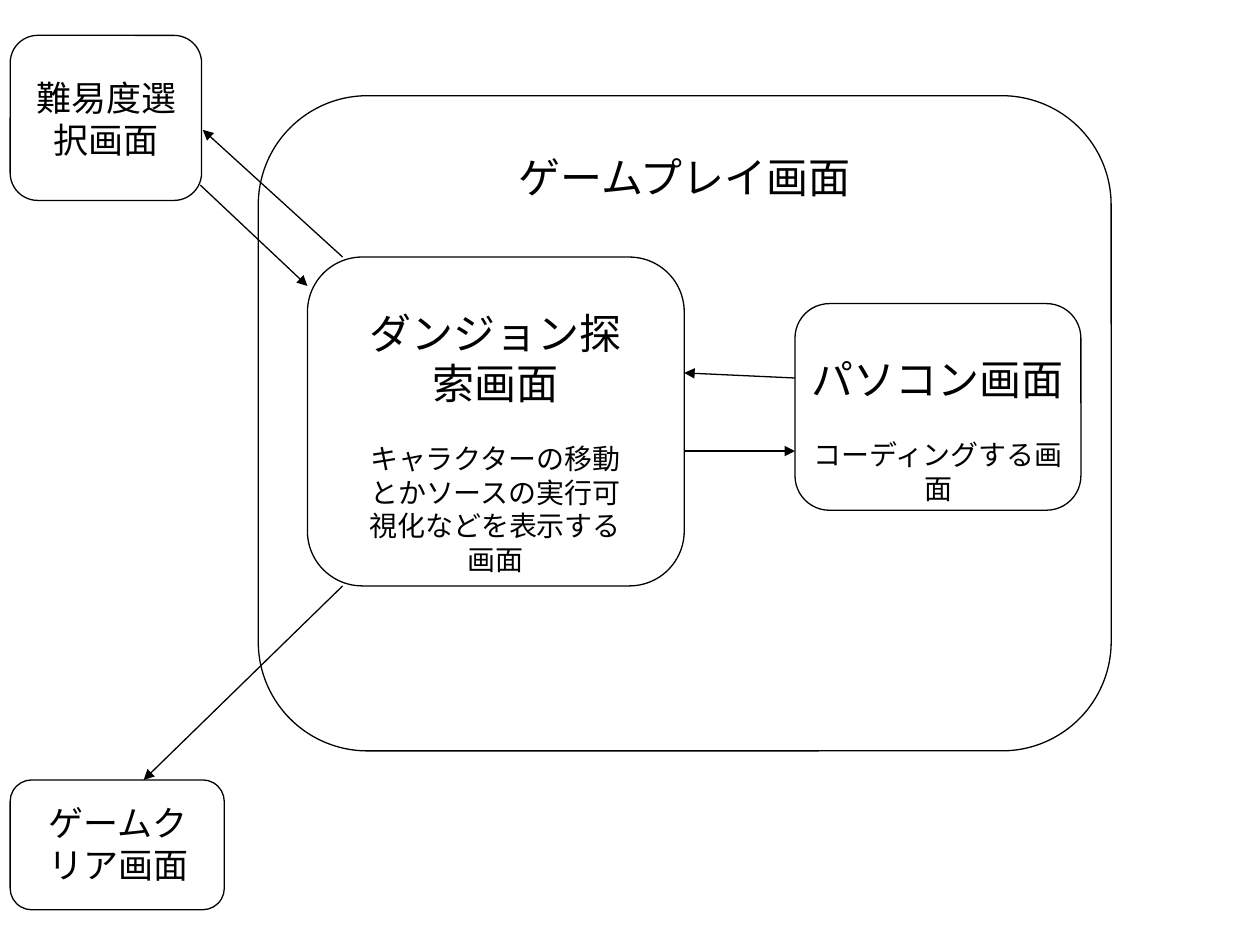
from typing import NamedTuple

import pptx
import pptx.dml.color
import pptx.enum.dml
import pptx.enum.shapes
import pptx.enum.text
import pptx.oxml
import pptx.oxml.ns
import pptx.util

BLACK = pptx.dml.color.RGBColor(0, 0, 0)
WHITE = pptx.dml.color.RGBColor(255, 255, 255)
FONT = "Times New Roman"
LINE_WIDTH = 0.75
NOTE_SIZE = 16
NOTE_GAP = 19.2
TITLE_ONLY = 5


class Area(NamedTuple):
    left: float
    top: float
    width: float
    height: float


class Label(NamedTuple):
    area: Area
    heading: str
    size: float
    note: str = ""


class Arrow(NamedTuple):
    start_x: float
    start_y: float
    end_x: float
    end_y: float


FRAMES = [
    Area(454.3, 173.5, 163.4, 118.1),
    Area(175.7, 146.9, 215.3, 187.9),
    Area(147.6, 54.7, 487.4, 374.4),
    Area(5.8, 20.2, 109.4, 94.3),
    Area(5.8, 445.7, 122.4, 74.2),
]

TITLE = Label(Area(283.7, 82.8, 215.3, 36), "ゲームプレイ画面", 24)

LABELS = [
    Label(Area(454.3, 198.7, 163.4, 93.6), "パソコン画面", 24, "コーディングする画面"),
    Label(Area(200.9, 172.1, 164.2, 161.3), "ダンジョン探索画面", 24,
          "キャラクターの移動とかソースの実行可視化などを表示する画面"),
    Label(Area(7.9, 40.3, 105.8, 55.4), "難易度選択画面", 20),
    Label(Area(19.4, 454.3, 96.5, 55.4), "ゲームクリア画面", 20),
]

ARROWS = [
    Arrow(391, 257.8, 454.3, 257.8),
    Arrow(454.3, 216, 391, 213.1),
    Arrow(114.5, 105.8, 175.7, 163.4),
    Arrow(195.8, 334.8, 82.1, 445.7),
    Arrow(195.8, 146.9, 115.9, 74.2),
]


def points(values) -> list:
    return [pptx.util.Pt(value) for value in values]


def draw_frame(slide, area: Area) -> None:
    frame = slide.shapes.add_shape(
        pptx.enum.shapes.MSO_SHAPE.ROUNDED_RECTANGLE, *points(area))
    frame.shadow.inherit = False
    frame.fill.background()
    frame.line.color.rgb = BLACK
    frame.line.width = pptx.util.Pt(LINE_WIDTH)


def write_line(para, text: str, size: float) -> None:
    para.alignment = pptx.enum.text.PP_ALIGN.CENTER
    span = para.add_run()
    span.text = text
    span.font.size = pptx.util.Pt(size)
    span.font.name = FONT
    span.font.color.rgb = BLACK


def fill_label(box, label: Label) -> None:
    box.left, box.top, box.width, box.height = points(label.area)
    frame = box.text_frame
    frame.word_wrap = True
    frame.auto_size = pptx.enum.text.MSO_AUTO_SIZE.SHAPE_TO_FIT_TEXT
    frame.vertical_anchor = pptx.enum.text.MSO_ANCHOR.TOP
    write_line(frame.paragraphs[0], label.heading, label.size)
    if label.note:
        para = frame.add_paragraph()
        para.space_before = pptx.util.Pt(NOTE_GAP)
        write_line(para, label.note, NOTE_SIZE)


def draw_label(slide, label: Label) -> None:
    fill_label(slide.shapes.add_textbox(*points(label.area)), label)


def draw_arrow(slide, arrow: Arrow) -> None:
    connector = slide.shapes.add_connector(
        pptx.enum.shapes.MSO_CONNECTOR.STRAIGHT, *points(arrow))
    connector.line.color.rgb = BLACK
    connector.line.width = pptx.util.Pt(LINE_WIDTH)
    head = pptx.oxml.parse_xml(
        f'<a:tailEnd {pptx.oxml.ns.nsdecls("a")} type="triangle"/>')
    connector.line._get_or_add_ln().append(head)
    effects = pptx.oxml.parse_xml(
        f'<a:effectLst {pptx.oxml.ns.nsdecls("a")}/>')
    connector._element.spPr.append(effects)


def main() -> None:
    deck = pptx.Presentation()
    deck.slide_width, deck.slide_height = points((720, 540))
    slide = deck.slides.add_slide(deck.slide_layouts[TITLE_ONLY])
    slide.background.fill.solid()
    slide.background.fill.fore_color.rgb = WHITE
    for area in FRAMES:
        draw_frame(slide, area)
    fill_label(slide.shapes.title, TITLE)
    for label in LABELS:
        draw_label(slide, label)
    for arrow in ARROWS:
        draw_arrow(slide, arrow)
    deck.save("out.pptx")


if __name__ == "__main__":
    main()
